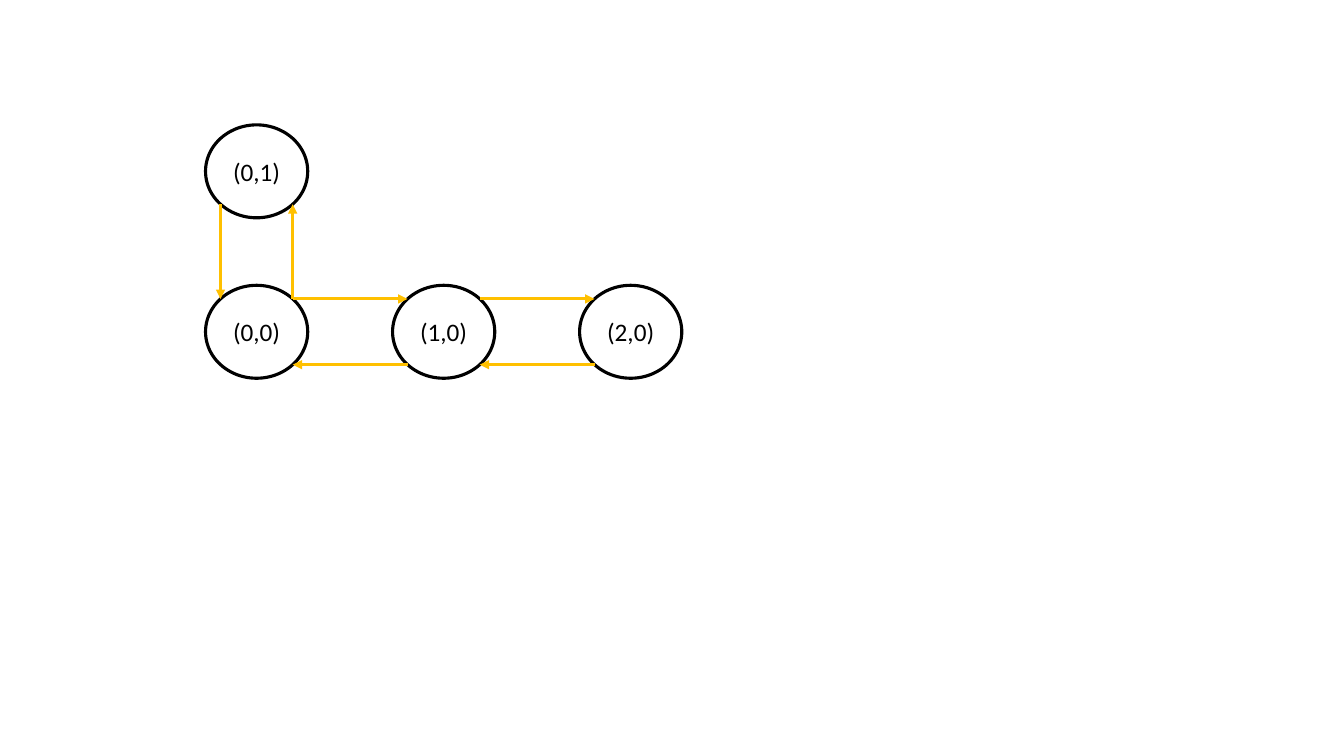
from dataclasses import dataclass
from math import sqrt

from lxml import etree
from pptx import Presentation
from pptx.dml.color import RGBColor
from pptx.enum import shapes, text
from pptx.oxml.ns import qn
from pptx.util import Pt


@dataclass(frozen=True)
class Theme:
    node_color: RGBColor = RGBColor(0x00, 0x00, 0x00)
    move_color: RGBColor = RGBColor(0xFF, 0xC0, 0x00)
    font: str = "Calibri"
    label_size: float = 18
    line_width: float = 2.25


THEME = Theme()
NODE_WIDTH, NODE_HEIGHT = 73, 66.4
ORIGIN_X, ORIGIN_Y = 183.3, 237
COLUMN_STEP, ROW_STEP = 133.6, 114.6

STATES = [(0, 0), (1, 0), (2, 0), (0, 1)]

# Start state, its corner, end state, its corner; a corner is (right, down) as +1 or -1.
MOVES = [
    ((1, 0), (-1, 1), (0, 0), (1, 1)),
    ((2, 0), (-1, 1), (1, 0), (1, 1)),
    ((1, 0), (1, -1), (2, 0), (-1, -1)),
    ((0, 0), (1, -1), (1, 0), (-1, -1)),
    ((0, 0), (1, -1), (0, 1), (1, 1)),
    ((0, 1), (-1, 1), (0, 0), (-1, -1)),
]


def center(state):
    column, row = state
    return ORIGIN_X + column * COLUMN_STEP, ORIGIN_Y - row * ROW_STEP


def corner_point(state, corner):
    """Return the point on the state's ellipse at 45 degrees towards a corner."""
    x, y = center(state)
    right, down = corner
    return (Pt(x + right * NODE_WIDTH / 2 / sqrt(2)),
            Pt(y + down * NODE_HEIGHT / 2 / sqrt(2)))


def add_state(slide, state):
    x, y = center(state)
    node = slide.shapes.add_shape(
        shapes.MSO_SHAPE.OVAL,
        Pt(x - NODE_WIDTH / 2), Pt(y - NODE_HEIGHT / 2), Pt(NODE_WIDTH), Pt(NODE_HEIGHT))
    node.shadow.inherit = False
    node.fill.background()
    node.line.color.rgb = THEME.node_color
    node.line.width = Pt(THEME.line_width)
    frame = node.text_frame
    frame.word_wrap = False
    frame.vertical_anchor = text.MSO_ANCHOR.MIDDLE
    label = frame.paragraphs[0]
    label.text = f"({state[0]},{state[1]})"
    label.alignment = text.PP_ALIGN.CENTER
    label.font.name = THEME.font
    label.font.size = Pt(THEME.label_size)
    label.font.color.rgb = THEME.node_color


def add_move(slide, start, start_corner, end, end_corner):
    arrow = slide.shapes.add_connector(
        shapes.MSO_CONNECTOR.STRAIGHT,
        *corner_point(start, start_corner), *corner_point(end, end_corner))
    arrow.line.color.rgb = THEME.move_color
    arrow.line.width = Pt(THEME.line_width)
    etree.SubElement(arrow.line._get_or_add_ln(), qn("a:tailEnd"), type="triangle")
    etree.SubElement(arrow._element.spPr, qn("a:effectLst"))


def main():
    deck = Presentation()
    deck.slide_width, deck.slide_height = Pt(960), Pt(540)
    slide = deck.slides.add_slide(deck.slide_layouts[6])
    for state in STATES:
        add_state(slide, state)
    for move in MOVES:
        add_move(slide, *move)
    deck.save("out.pptx")


if __name__ == "__main__":
    main()
